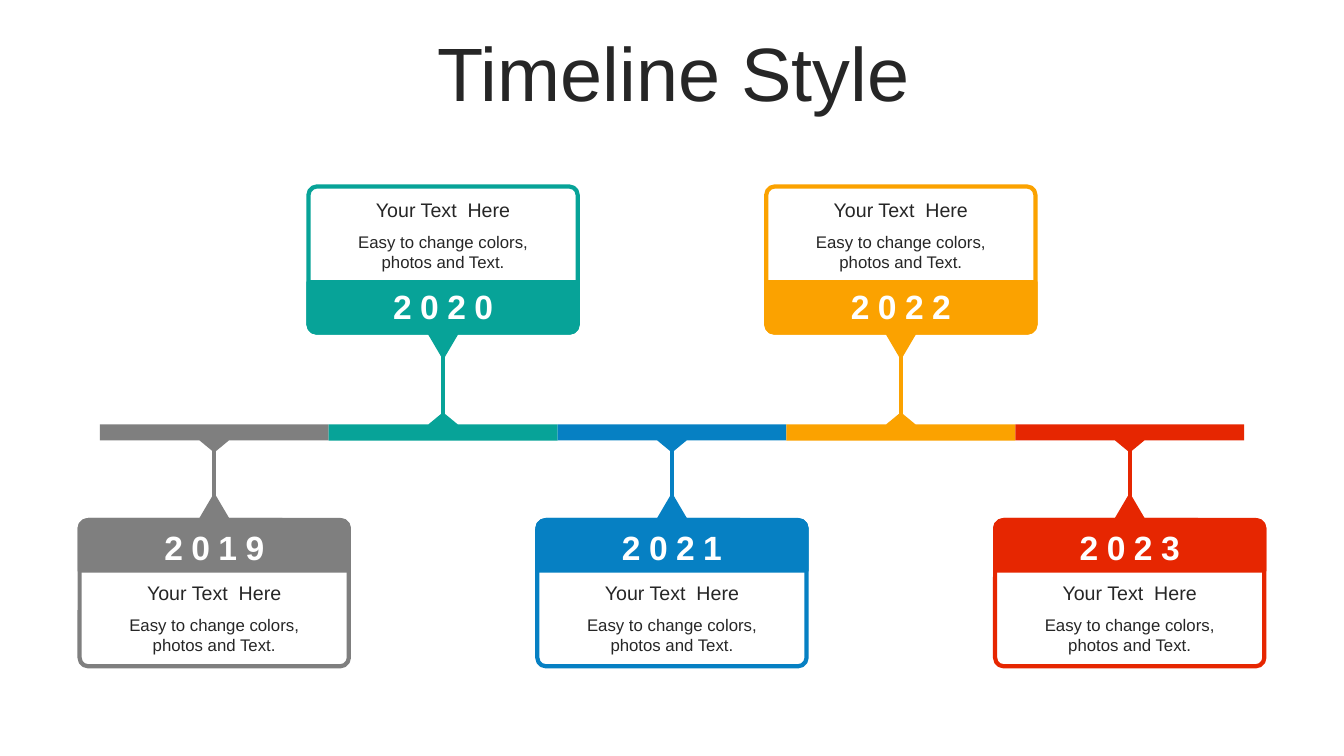
from pptx import Presentation
from pptx.dml.color import RGBColor
from pptx.enum.shapes import MSO_CONNECTOR as Connector, MSO_SHAPE as Shape
from pptx.enum.text import MSO_ANCHOR as Anchor, PP_ALIGN as Align
from pptx.oxml.ns import qn
from pptx.util import Inches, Pt

INK = "262626"
WHITE = "FFFFFF"
MILESTONES = [
    ("2019", "7F7F7F"),
    ("2020", "07A398"),
    ("2021", "0680C3"),
    ("2022", "FBA200"),
    ("2023", "E62601"),
]
HEADING = "Your Text  Here"
DETAIL = "Easy to change colors, photos and Text."

BAR_LEFT, BAR_TOP, BAR_HEIGHT, SEGMENT = 0.99, 4.21, 0.16, 2.27
CARD_WIDTH, CARD_HEIGHT, BAND_HEIGHT = 2.67, 1.45, 0.5
UPPER_CARD_TOP, LOWER_CARD_TOP = 1.85, 5.16
POINTER_WIDTH, POINTER_HEIGHT = 0.27, 0.23


def rgb(value):
    """Turn a hex string into a colour."""
    return RGBColor.from_string(value)


def add_label(slide, box, text, size, color=INK, bold=False, anchor=Anchor.TOP):
    """Add centred text in a box and return its paragraph and run."""
    frame = slide.shapes.add_textbox(*map(Inches, box)).text_frame
    frame.word_wrap = True
    frame.vertical_anchor = anchor
    paragraph = frame.paragraphs[0]
    paragraph.alignment = Align.CENTER
    run = paragraph.add_run()
    run.text = text
    run.font.name = "Arial"
    run.font.size = Pt(size)
    run.font.bold = bold
    run.font.color.rgb = rgb(color)
    return paragraph, run


def add_outlined(slide, kind, box, fill, line, rotation=0):
    """Add a filled preset shape with a 3 pt outline."""
    part = slide.shapes.add_shape(kind, *map(Inches, box))
    part.shadow.inherit = False
    part.rotation = rotation
    part.fill.solid()
    part.fill.fore_color.rgb = rgb(fill)
    part.line.color.rgb = rgb(line)
    part.line.width = Pt(3)
    return part


def add_title(slide, box):
    """Add the slide title."""
    paragraph, _ = add_label(slide, box, "Timeline Style", 54, anchor=Anchor.MIDDLE)
    paragraph.line_spacing = 0.9
    paragraph.space_before = Pt(10)


def add_segment(slide, left, color, upward):
    """Add one bar segment whose notch points towards its card."""
    center = left + SEGMENT / 2
    bottom = BAR_TOP + BAR_HEIGHT
    near, far, tip = (BAR_TOP, bottom, -0.12) if upward else (bottom, BAR_TOP, 0.12)
    outline = [
        (left + SEGMENT, far),
        (left + SEGMENT, near),
        (center + 0.145, near),
        (center, near + tip),
        (center - 0.145, near),
        (left, near),
    ]
    builder = slide.shapes.build_freeform(Inches(left), Inches(far), scale=1.0)
    builder.add_line_segments([(Inches(x), Inches(y)) for x, y in outline], close=True)
    segment = builder.convert_to_shape()
    segment.shadow.inherit = False
    segment.fill.solid()
    segment.fill.fore_color.rgb = rgb(color)
    segment.line.fill.background()


def add_stem(slide, center, color, upward):
    """Add the line between the bar and a card pointer."""
    start, end = (3.53, BAR_TOP) if upward else (BAR_TOP + BAR_HEIGHT, 5.06)
    stem = slide.shapes.add_connector(
        Connector.STRAIGHT, *map(Inches, (center, start, center, end)))
    stem.line.color.rgb = rgb(color)
    stem.line.width = Pt(3)
    properties = stem._element.spPr
    properties.append(properties.makeelement(qn("a:effectLst"), {}))


def add_card(slide, center, year, color, upward):
    """Add a year card with its band, pointer and texts."""
    left = center - CARD_WIDTH / 2
    top = UPPER_CARD_TOP if upward else LOWER_CARD_TOP
    if upward:
        band_top = top + CARD_HEIGHT - BAND_HEIGHT
        pointer_top = top + CARD_HEIGHT
        year_top, heading_top, turn = band_top - 0.01, top + 0.06, 180
    else:
        band_top = top
        pointer_top = top - POINTER_HEIGHT
        year_top, heading_top, turn = top + 0.02, top + 0.55, 0

    frame = add_outlined(slide, Shape.ROUNDED_RECTANGLE,
                         (left, top, CARD_WIDTH, CARD_HEIGHT), WHITE, color)
    frame.adjustments[0] = 0.058
    add_outlined(slide, Shape.ROUND_2_SAME_RECTANGLE,
                 (left, band_top, CARD_WIDTH, BAND_HEIGHT), color, color, turn)
    add_outlined(slide, Shape.ISOSCELES_TRIANGLE,
                 (center - POINTER_WIDTH / 2, pointer_top, POINTER_WIDTH, POINTER_HEIGHT),
                 color, color, turn)
    _, year_run = add_label(slide, (center - 0.805, year_top, 1.61, 0.5),
                            year, 24, WHITE, bold=True)
    year_run.font._element.set("spc", "600")

    text_left = center - 1.145
    add_label(slide, (text_left, heading_top, 2.29, 0.34), HEADING, 14, anchor=Anchor.MIDDLE)
    add_label(slide, (text_left, heading_top + 0.34, 2.29, 0.5), DETAIL, 12)


def add_timeline(slide):
    """Add the bar with cards alternately below and above it."""
    for index, (year, color) in enumerate(MILESTONES):
        left = BAR_LEFT + index * SEGMENT
        center = left + SEGMENT / 2
        upward = index % 2 == 1
        add_segment(slide, left, color, upward)
        add_card(slide, center, year, color, upward)
        add_stem(slide, center, color, upward)


def main():
    """Build and save the timeline slide."""
    deck = Presentation()
    deck.slide_width, deck.slide_height = Inches(13.33), Inches(7.5)
    slide = deck.slides.add_slide(deck.slide_layouts[6])
    add_title(slide, (0.35, 0.37, 12.66, 0.79))
    add_timeline(slide)
    deck.save("out.pptx")


if __name__ == "__main__":
    main()
